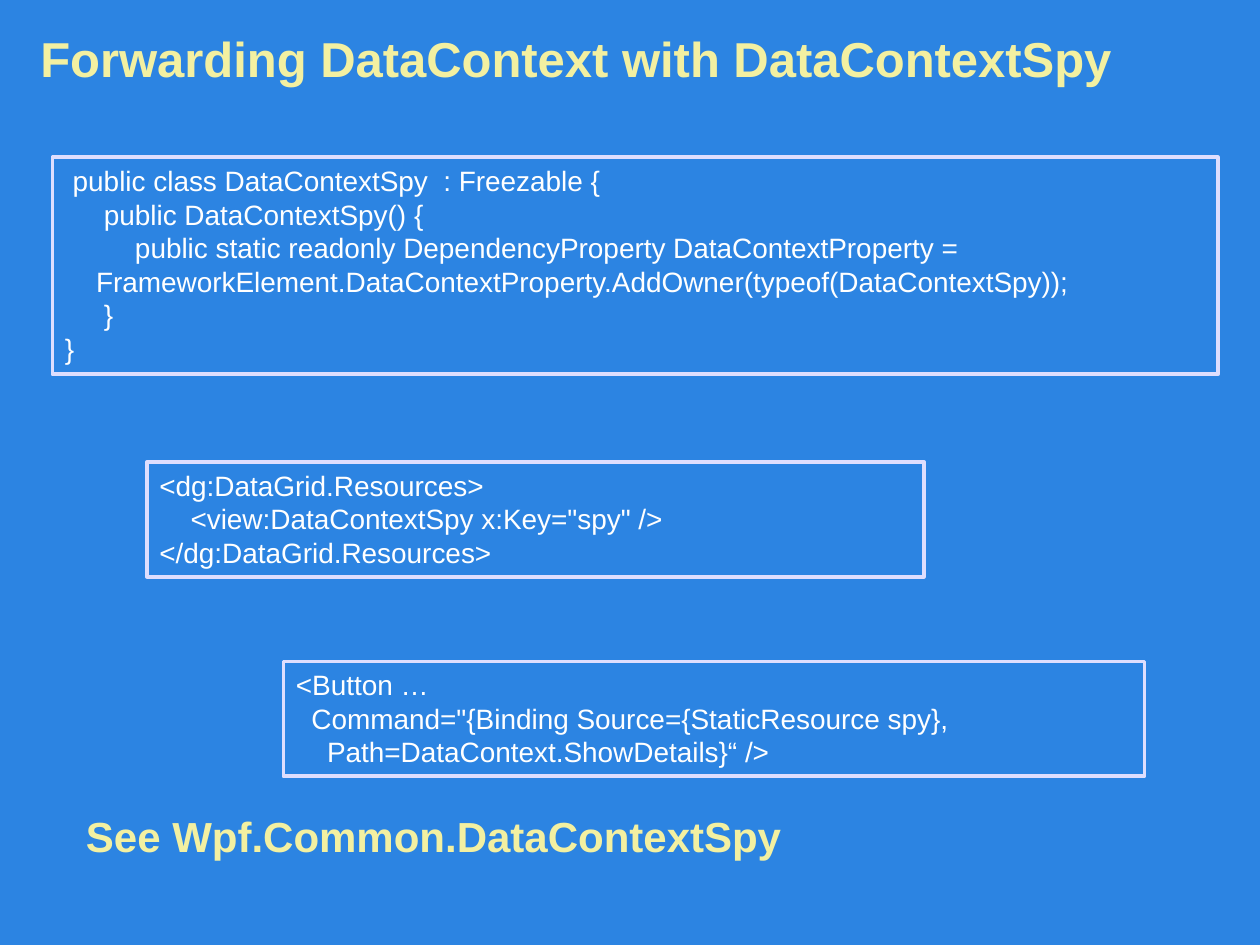
from pptx import Presentation
from pptx.dml.color import RGBColor as Rgb
from pptx.enum.shapes import MSO_SHAPE as Shape
from pptx.enum.text import MSO_ANCHOR as Anchor, PP_ALIGN as Align
from pptx.util import Pt

COLORS = {"background": "2C84E2", "border": "DEDEFE", "code": "FFFFFF", "heading": "F3F0A1"}
FONT = "Arial"
CODE_SIZE = 16
INDENT_STEP = 4.45  # width of one code column

# Each line of code is (indent in columns, text).
CODE_BOXES = [
    ((30, 90, 666, 124), [
        (1, "public class DataContextSpy  : Freezable {"),
        (5, "public DataContextSpy() {"),
        (9, "public static readonly DependencyProperty DataContextProperty ="),
        (4, "FrameworkElement.DataContextProperty.AddOwner(typeof(DataContextSpy));"),
        (5, "}"),
        (0, "}"),
    ]),
    ((84, 264, 444, 65.5), [
        (0, "<dg:DataGrid.Resources>"),
        (4, '<view:DataContextSpy x:Key="spy" />'),
        (0, "</dg:DataGrid.Resources>"),
    ]),
    ((162, 378, 492, 65.5), [
        (0, "<Button …"),
        (2, 'Command="{Binding Source={StaticResource spy},'),
        (4, "Path=DataContext.ShowDetails}“ />"),
    ]),
]


def color(name):
    """Return the named colour."""
    return Rgb.from_string(COLORS[name])


def style_font(paragraph, size, color_name, bold=False):
    """Format every run of a paragraph."""
    for run in paragraph.runs:
        run.font.name = FONT
        run.font.size = Pt(size)
        run.font.bold = bold
        run.font.color.rgb = color(color_name)


def add_heading(slide, box, text, size, anchor=Anchor.TOP, margin_top=3.6):
    """Place a bold heading in the given box."""
    shape = slide.shapes.add_textbox(*map(Pt, box))
    text_frame = shape.text_frame
    text_frame.word_wrap = True
    text_frame.vertical_anchor = anchor
    text_frame.margin_top = Pt(margin_top)
    text_frame.text = text
    style_font(text_frame.paragraphs[0], size, "heading", bold=True)


def add_code_box(slide, box, lines):
    """Place a bordered box holding indented lines of code."""
    shape = slide.shapes.add_shape(Shape.RECTANGLE, *map(Pt, box))
    shape.shadow.inherit = False
    shape.fill.solid()
    shape.fill.fore_color.rgb = color("background")
    shape.line.color.rgb = color("border")
    shape.line.width = Pt(2.25)
    text_frame = shape.text_frame
    text_frame.word_wrap = True
    text_frame.vertical_anchor = Anchor.TOP
    text_frame.text = "\n".join(text for _, text in lines)
    for paragraph, (columns, _) in zip(text_frame.paragraphs, lines):
        paragraph.alignment = Align.LEFT
        properties = paragraph._p.get_or_add_pPr()
        properties.set("marL", str(Pt(columns * INDENT_STEP)))
        properties.set("indent", "0")
        style_font(paragraph, CODE_SIZE, "code")


def build_slide(presentation):
    """Add the slide with its title, code boxes and closing reference."""
    slide = presentation.slides.add_slide(presentation.slide_layouts[6])
    slide.background.fill.solid()
    slide.background.fill.fore_color.rgb = color("background")
    add_heading(slide, (16, 14.5, 688, 37.5),
                "Forwarding DataContext with DataContextSpy", 28, Anchor.MIDDLE)
    for box, lines in CODE_BOXES:
        add_code_box(slide, box, lines)
    add_heading(slide, (42, 456, 536, 44), "See Wpf.Common.DataContextSpy", 24, margin_top=7)


presentation = Presentation()
presentation.slide_width, presentation.slide_height = Pt(720), Pt(540)
build_slide(presentation)
presentation.save("out.pptx")
